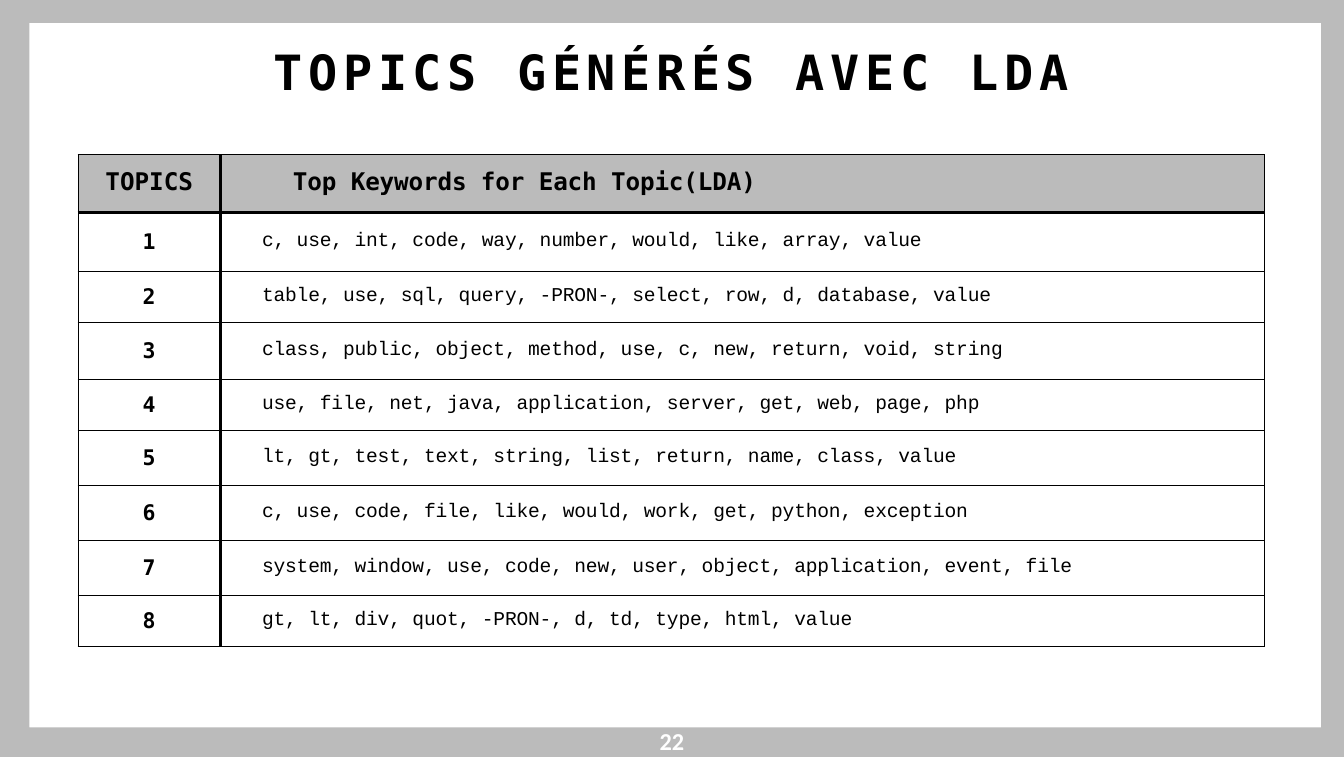
from dataclasses import dataclass

from lxml.etree import SubElement
from pptx import Presentation
from pptx.dml.color import RGBColor
from pptx.enum.text import MSO_ANCHOR, PP_ALIGN
from pptx.oxml.ns import qn
from pptx.util import Inches, Pt

TITLE = "TOPICS GÉNÉRÉS AVEC LDA"
PAGE_NUMBER = "22"
HEADINGS = ("TOPICS", "Top Keywords for Each Topic(LDA)")
KEYWORDS = [
    "c, use, int, code, way, number, would, like, array, value",
    "table, use, sql, query, -PRON-, select, row, d, database, value",
    "class, public, object, method, use, c, new, return, void, string",
    "use, file, net, java, application, server, get, web, page, php",
    "lt, gt, test, text, string, list, return, name, class, value",
    "c, use, code, file, like, would, work, get, python, exception",
    "system, window, use, code, new, user, object, application, event, file",
    "gt, lt, div, quot, -PRON-, d, td, type, html, value",
]
COLUMN_WIDTHS = (1.06, 7.77)
ROW_HEIGHTS = (0.43, 0.44, 0.38, 0.42, 0.38, 0.41, 0.41, 0.41, 0.38)
SLIDE_SIZE = (10, 5.63)
PANEL_EDGES = (0.22, 0.17, 9.83, 5.41)


@dataclass(frozen=True)
class Theme:
    ink: str = "000000"
    gray: str = "BBBBBB"
    white: str = "FFFFFF"
    display: str = "DejaVu Sans Mono"
    mono: str = "Courier New"
    sans: str = "Calibri"
    title: float = 26
    heading: float = 13
    index: float = 11.5
    keywords: float = 10.5
    thin: float = 0.5
    thick: float = 2.25


THEME = Theme()


def write(para, text, font, size, color=THEME.ink, bold=True, spacing=0):
    span = para.add_run()
    span.text = text
    span.font.name = font
    span.font.size = Pt(size)
    span.font.bold = bold
    span.font.color.rgb = RGBColor.from_string(color)
    span.font._element.set("spc", str(round(spacing * 100)))


def add_label(page, area, text, font, size, color, spacing=0):
    box = page.shapes.add_textbox(*map(Inches, area))
    frame = box.text_frame
    frame.word_wrap = True
    frame.margin_left = frame.margin_top = frame.margin_right = frame.margin_bottom = 0
    para = frame.paragraphs[0]
    para.alignment = PP_ALIGN.CENTER
    write(para, text, font, size, color, spacing=spacing)
    return box


def add_frame(page):
    width, height = SLIDE_SIZE
    left, top, right, bottom = PANEL_EDGES
    builder = page.shapes.build_freeform(0, 0, scale=Inches(1) / 100)
    builder.add_line_segments([(width * 100, 0), (width * 100, height * 100), (0, height * 100)])
    builder.move_to(left * 100, top * 100)
    inner = [(left, bottom), (right, bottom), (right, top)]
    builder.add_line_segments([(x * 100, y * 100) for x, y in inner])
    frame = builder.convert_to_shape()
    frame.shadow.inherit = False
    frame.fill.solid()
    frame.fill.fore_color.rgb = RGBColor.from_string(THEME.gray)
    frame.line.fill.background()


def set_borders(cell, widths):
    properties = cell._tc.get_or_add_tcPr()
    for side, width in zip("LRTB", widths):
        line = SubElement(properties, qn(f"a:ln{side}"), w=str(int(Pt(width))))
        fill = SubElement(line, qn("a:solidFill"))
        SubElement(fill, qn("a:srgbClr"), val=THEME.ink)


def fill_cell(cell, row, column, text):
    header, first = row == 0, column == 0
    thin, thick = THEME.thin, THEME.thick
    set_borders(cell, (
        thin if first else thick,
        thick if first else thin,
        thick if row == 1 else thin,
        thick if header else thin,
    ))
    if header:
        cell.fill.solid()
        cell.fill.fore_color.rgb = RGBColor.from_string(THEME.gray)
    else:
        cell.fill.background()
    cell.margin_left = cell.margin_top = cell.margin_right = cell.margin_bottom = 0
    cell.vertical_anchor = MSO_ANCHOR.MIDDLE
    para = cell.text_frame.paragraphs[0]
    para.line_spacing = Pt(13.6 if header or first else 11.2)
    if first:
        para.alignment = PP_ALIGN.CENTER
    else:
        para._p.get_or_add_pPr().set("marL", str(Inches(0.54 if header else 0.31)))
    if header:
        write(para, text, THEME.display, THEME.heading, spacing=0 if first else -0.05)
    elif first:
        write(para, text, THEME.display, THEME.index)
    else:
        write(para, text, THEME.mono, THEME.keywords, bold=False, spacing=-0.05)


def add_topics(page):
    rows = [HEADINGS, *((str(number), words) for number, words in enumerate(KEYWORDS, 1))]
    area = (0.58, 1.15, sum(COLUMN_WIDTHS), sum(ROW_HEIGHTS))
    table = page.shapes.add_table(len(rows), len(HEADINGS), *map(Inches, area)).table
    table.first_row = table.horz_banding = False
    for column, width in zip(table.columns, COLUMN_WIDTHS):
        column.width = Inches(width)
    for row, height in zip(table.rows, ROW_HEIGHTS):
        row.height = Inches(height)
    for row, texts in enumerate(rows):
        for column, text in enumerate(texts):
            fill_cell(table.cell(row, column), row, column, text)


def main():
    deck = Presentation()
    deck.slide_width, deck.slide_height = map(Inches, SLIDE_SIZE)
    page = deck.slides.add_slide(deck.slide_layouts[6])
    add_frame(page)
    add_topics(page)
    add_label(page, (3.85, 5.4, 2.3, 0.22), PAGE_NUMBER, THEME.sans, THEME.heading, THEME.white)
    title = add_label(page, (0, 0.3, 10, 0.45), TITLE, THEME.display, THEME.title, THEME.ink, 3)
    title.text_frame.margin_top = Inches(0.01)
    deck.save("out.pptx")


if __name__ == "__main__":
    main()
